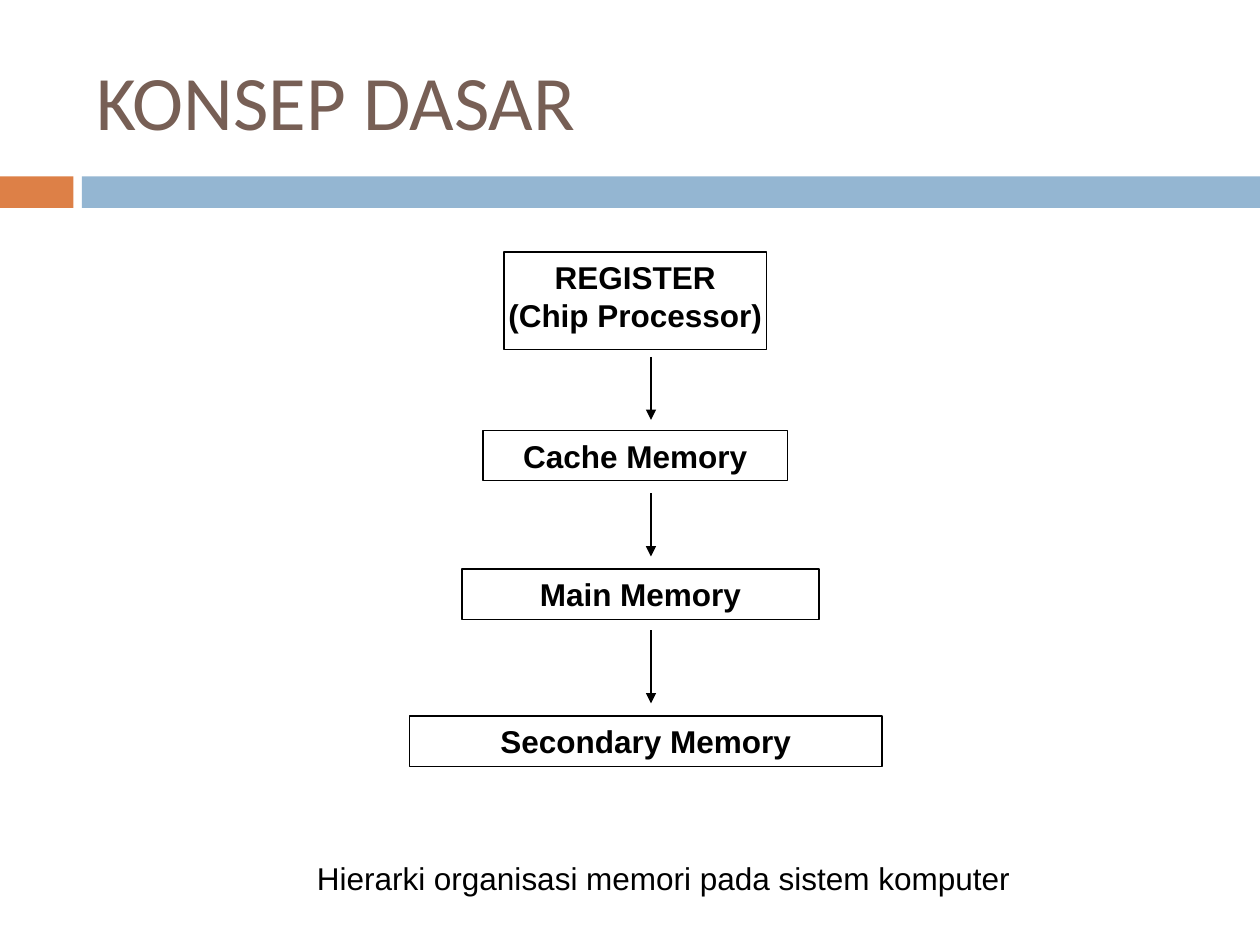
from pptx import Presentation
from pptx.dml.color import RGBColor
from pptx.enum.shapes import MSO_CONNECTOR as Connector, MSO_SHAPE as Shape
from pptx.enum.text import MSO_ANCHOR as Anchor, PP_ALIGN as Align
from pptx.oxml.ns import qn
from pptx.util import Inches, Pt
from lxml.etree import SubElement

COLORS = {"title": "775F55", "accent": "DD8047", "band": "94B6D2", "ink": "000000"}
COLUMNS, ROWS = 120, 90


class SlideBuilder:
    body_font, title_font = "Arial", "Calibri"
    body_size, title_size = 18, 44
    line_width = 0.75

    def __init__(self, presentation):
        self.slide = presentation.slides.add_slide(presentation.slide_layouts[6])
        self.column = presentation.slide_width / COLUMNS
        self.row = presentation.slide_height / ROWS

    def place(self, *cells):
        units = (self.column, self.row) * 2
        return [round(cell * unit) for cell, unit in zip(cells, units)]

    def color(self, name):
        return RGBColor.from_string(COLORS[name])

    def add_lines(self, shape, lines, align=Align.LEFT, anchor=Anchor.TOP, wrap=True,
                  font=body_font, size=body_size, color="ink", bold=False):
        frame = shape.text_frame
        frame.word_wrap = wrap
        frame.vertical_anchor = anchor
        for index, line in enumerate(lines):
            paragraph = frame.add_paragraph() if index else frame.paragraphs[0]
            paragraph.alignment = align
            run = paragraph.add_run()
            run.text = line
            run.font.name = font
            run.font.size = Pt(size)
            run.font.bold = bold
            run.font.color.rgb = self.color(color)

    def text(self, cells, line, **style):
        self.add_lines(self.slide.shapes.add_textbox(*self.place(*cells)), [line], **style)

    def title(self, cells, line):
        self.text(cells, line, anchor=Anchor.MIDDLE, font=self.title_font,
                  size=self.title_size, color="title")

    def rectangle(self, cells):
        shape = self.slide.shapes.add_shape(Shape.RECTANGLE, *self.place(*cells))
        shape.shadow.inherit = False
        return shape

    def bar(self, cells, color):
        shape = self.rectangle(cells)
        shape.fill.solid()
        shape.fill.fore_color.rgb = self.color(color)
        shape.line.fill.background()

    def box(self, cells, lines):
        shape = self.rectangle(cells)
        shape.fill.background()
        shape.line.color.rgb = self.color("ink")
        shape.line.width = Pt(self.line_width)
        self.add_lines(shape, lines, align=Align.CENTER, wrap=False, bold=True)

    def down_arrow(self, column, top, bottom):
        ends = self.place(column, top, column, bottom)
        arrow = self.slide.shapes.add_connector(Connector.STRAIGHT, *ends)
        arrow.line.color.rgb = self.color("ink")
        arrow.line.width = Pt(self.line_width)
        properties = arrow._element.spPr
        SubElement(properties.find(qn("a:ln")), qn("a:tailEnd"), type="triangle")
        SubElement(properties, qn("a:effectLst"))


def main():
    presentation = Presentation()
    presentation.slide_width, presentation.slide_height = Inches(10), Inches(7.5)
    builder = SlideBuilder(presentation)

    builder.bar((0, 16.8, 7, 3), "accent")
    builder.bar((7.8, 16.8, 112.2, 3), "band")
    builder.title((8, 3, 107, 13), "KONSEP DASAR")

    line_height = 4.8
    levels = [
        (48, 24, 25, 9.3, ["REGISTER", "(Chip Processor)"]),
        (46, 41, 29, line_height, ["Cache Memory"]),
        (44, 54.2, 34, line_height, ["Main Memory"]),
        (39, 68.2, 45, line_height, ["Secondary Memory"]),
    ]
    for *cells, lines in levels:
        builder.box(cells, lines)
    for top, bottom in [(34, 40), (47, 53), (60, 67)]:
        builder.down_arrow(62, top, bottom)

    builder.text((29, 81.2, 91, line_height),
                 "Hierarki organisasi memori pada sistem komputer")
    presentation.save("out.pptx")


if __name__ == "__main__":
    main()
